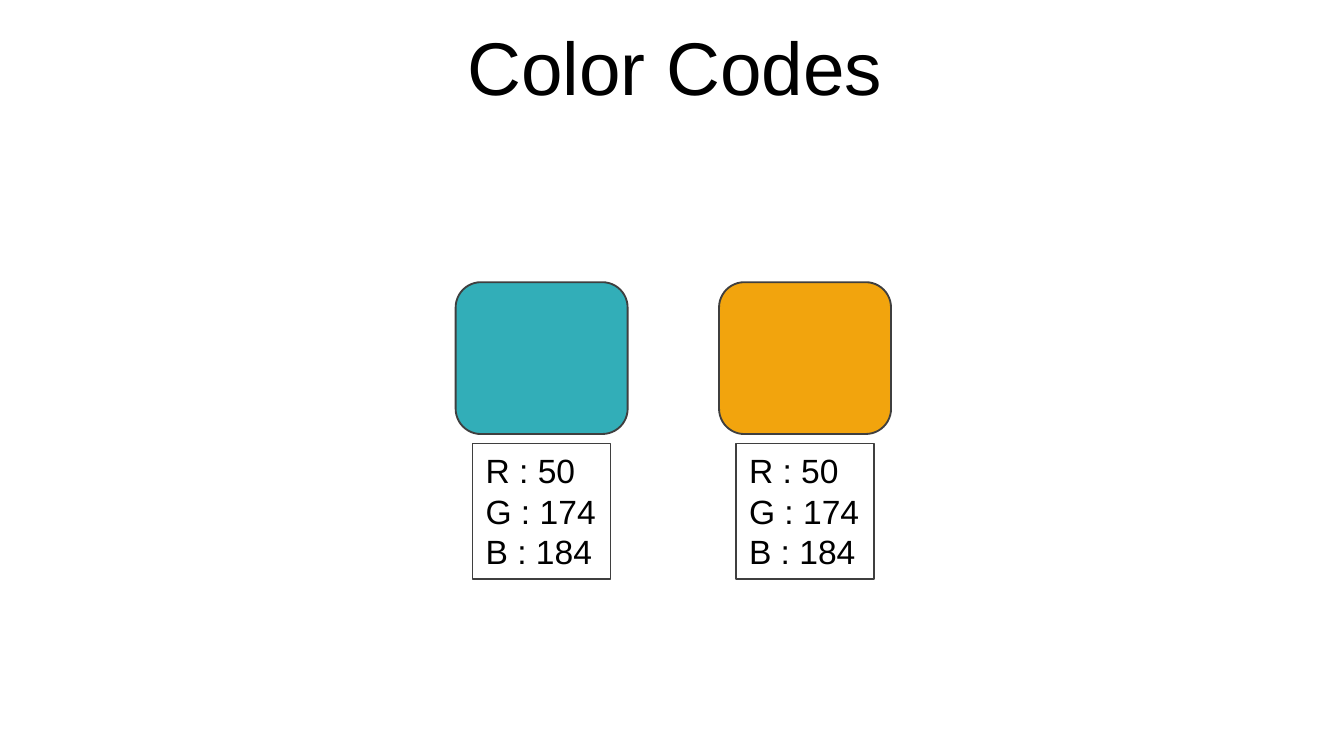
import pptx
import pptx.util
import pptx.dml.color
import pptx.enum.shapes
import pptx.enum.text

Inches = pptx.util.Inches
Pt = pptx.util.Pt
RGB = pptx.dml.color.RGBColor.from_string

COLORS = {
    "teal": "32AEB8",
    "orange": "F2A40D",
    "outline": "3F3F3F",
    "text": "000000",
}
CODES = ["R : 50", "G : 174", "B : 184"]


def style_text(paragraph, size):
    paragraph.font.name = "Arial"
    paragraph.font.size = Pt(size)
    paragraph.font.color.rgb = RGB(COLORS["text"])


deck = pptx.Presentation()
deck.slide_width = Inches(10)
deck.slide_height = Inches(10 * 9 / 16)
page = deck.slides.add_slide(deck.slide_layouts[5])

# Swatches, each grouped with the code box centred below it
swatch_width, code_width = 1.28, 1.03
for left, color in [(3.39, "teal"), (5.35, "orange")]:
    group = page.shapes.add_group_shape()
    swatch = group.shapes.add_shape(
        pptx.enum.shapes.MSO_SHAPE.ROUNDED_RECTANGLE,
        Inches(left), Inches(2.1), Inches(swatch_width), Inches(1.13))
    swatch.shadow.inherit = False
    swatch.fill.solid()
    swatch.fill.fore_color.rgb = RGB(COLORS[color])
    swatch.line.color.rgb = RGB(COLORS["outline"])
    swatch.line.width = Pt(1)

    code_left = left + (swatch_width - code_width) / 2
    box = group.shapes.add_textbox(
        Inches(code_left), Inches(3.3), Inches(code_width), Inches(1.01))
    box.line.color.rgb = RGB(COLORS["outline"])
    box.line.width = Pt(0.75)
    frame = box.text_frame
    frame.word_wrap = False
    frame.margin_left = frame.margin_right = Inches(0.1)
    frame.margin_top = frame.margin_bottom = Inches(0.05)
    frame.text = "\n".join(CODES)
    for para in frame.paragraphs:
        style_text(para, 18)

# Title
title = page.shapes.title
title.left, title.top = Inches(0.02), Inches(0.16)
title.width, title.height = Inches(10), Inches(0.66)
frame = title.text_frame
frame.text = "Color Codes"
frame.word_wrap = True
frame.auto_size = pptx.enum.text.MSO_AUTO_SIZE.NONE
frame.vertical_anchor = pptx.enum.text.MSO_ANCHOR.MIDDLE
frame.margin_left = frame.margin_right = Inches(0.1)
frame.margin_top = frame.margin_bottom = Inches(0.1)
frame.paragraphs[0].alignment = pptx.enum.text.PP_ALIGN.CENTER
style_text(frame.paragraphs[0], 40)

deck.save("out.pptx")
